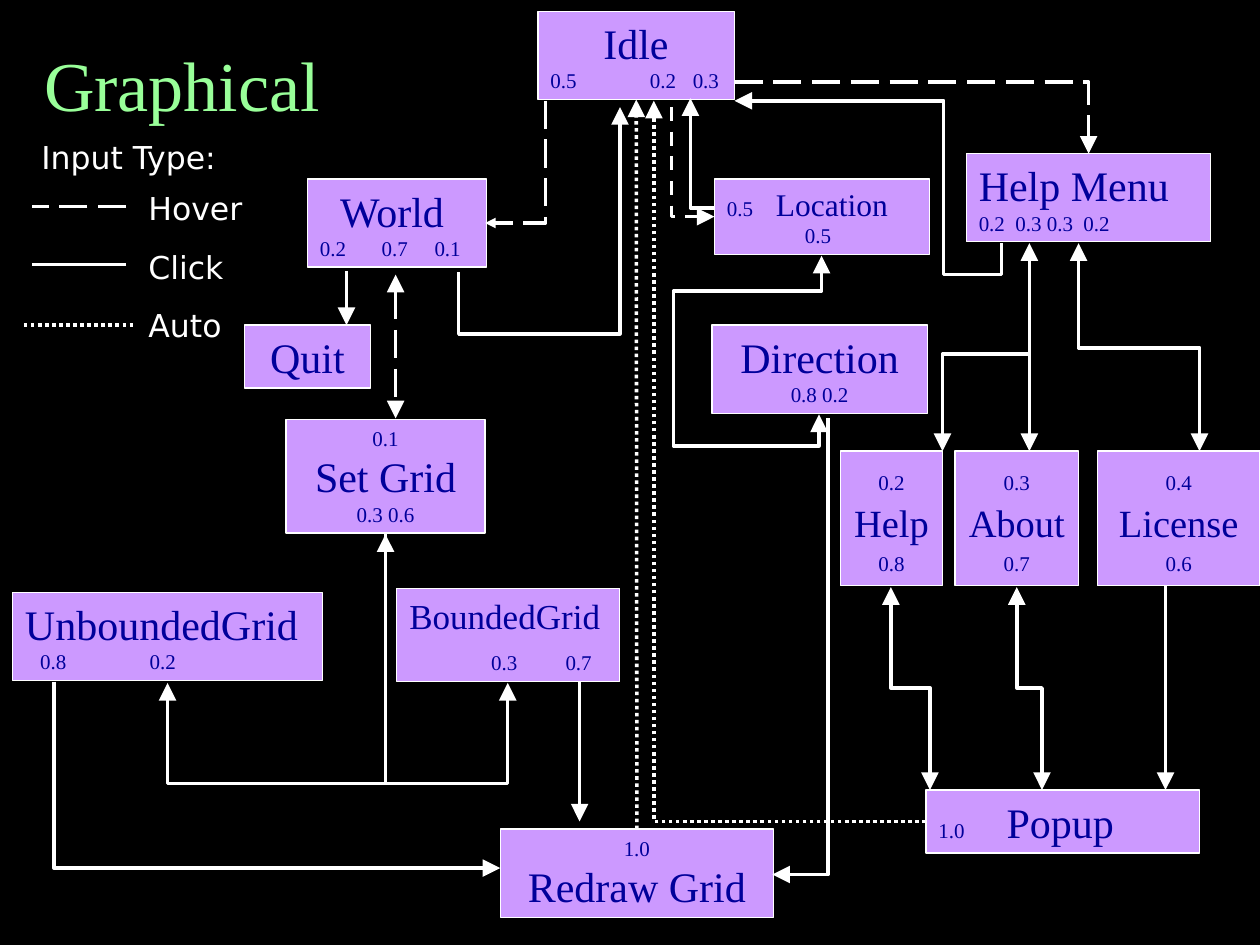
from pptx import Presentation
from pptx.dml.color import RGBColor
from pptx.enum.dml import MSO_LINE as DASH
from pptx.enum.shapes import MSO_CONNECTOR as CONN, MSO_SHAPE as SHAPE
from pptx.enum.text import MSO_ANCHOR as ANCHOR, MSO_AUTO_SIZE as FIT, PP_ALIGN as ALIGN
from pptx.oxml.ns import qn
from pptx.util import Inches, Pt
from lxml.etree import SubElement

COLORS = {"back": "000000", "box": "CC99FF", "line": "FFFFFF",
          "label": "00009A", "title": "99FF99"}
SERIF, SANS = "Times New Roman", "DejaVu Sans"


def color(name):
    return RGBColor.from_string(COLORS[name])


class StateDiagram:
    """Style and current slide of a state diagram."""

    def __init__(self, prs):
        self.slide = prs.slides.add_slide(prs.slide_layouts[5])
        fill = self.slide.background.fill
        fill.solid()
        fill.fore_color.rgb = color("back")

    def style(self, r, size, font, ink):
        r.font.size, r.font.name = Pt(size), font
        r.font.color.rgb = color(ink)

    def frame(self, sp, anchor=ANCHOR.TOP):
        tf = sp.text_frame
        tf.word_wrap, tf.auto_size, tf.vertical_anchor = True, FIT.NONE, anchor
        return tf

    def title(self, text, x, y, w, h):
        sp = self.slide.shapes.title
        sp.left, sp.top, sp.width, sp.height = map(Inches, (x, y, w, h))
        tf = self.frame(sp, ANCHOR.BOTTOM)
        tf.text = text
        p = tf.paragraphs[0]
        p.alignment = ALIGN.LEFT
        self.style(p.runs[0], 40, SERIF, "title")

    def text(self, lines, x, y, w, h):
        tf = self.frame(self.slide.shapes.add_textbox(*map(Inches, (x, y, w, h))))
        tf.text = "\n".join(lines)
        for i, p in enumerate(tf.paragraphs):
            if i:
                p.space_before = Pt(12)
            self.style(p.runs[0], 18, SANS, "line")

    def box(self, x, y, w, h, rows, align=ALIGN.LEFT, gap=0, top=0.05, side=0.1, lead=""):
        """Each row is (text, size, *tab stops); lead is small text before the first row."""
        sp = self.slide.shapes.add_shape(SHAPE.RECTANGLE, *map(Inches, (x, y, w, h)))
        sp.shadow.inherit = False
        sp.fill.solid()
        sp.fill.fore_color.rgb = color("box")
        sp.line.color.rgb = color("line")
        sp.line.width = Pt(0.75)
        tf = self.frame(sp)
        tf.margin_top, tf.margin_left, tf.margin_right = map(Inches, (top, side, side))
        tf.text = "\n".join(row[0] for row in rows)
        for i, (p, (_, size, *stops)) in enumerate(zip(tf.paragraphs, rows)):
            p.alignment = align
            if i and gap:
                p.space_before = Pt(gap)
            if stops:
                tabs = SubElement(p._p.get_or_add_pPr(), qn("a:tabLst"))
                for stop in stops:
                    SubElement(tabs, qn("a:tab"), pos=str(Inches(stop)), algn="l")
            self.style(p.runs[0], size, SERIF, "label")
        if lead:
            p = tf.paragraphs[0]
            name, r = p.runs[0], p.add_run()
            r.text = lead
            self.style(r, 12, SERIF, "label")
            name._r.addprevious(r._r)
        return sp

    def route(self, *points, dash=None, arrows="end", head="lg"):
        """Connector through right-angled points; arrows is end, both or empty."""
        (x0, y0), (x1, y1) = points[0], points[-1]
        bends = len(points) - 1
        kind = CONN.STRAIGHT if bends == 1 else CONN.ELBOW
        s = self.slide.shapes.add_connector(kind, *map(Inches, (x0, y0, x1, y1)))
        if bends > 1:
            self.bend(s, points, bends)
        s.line.color.rgb = color("line")
        s.line.width = Pt(2)
        if dash:
            s.line.dash_style = dash
        ln = s.line._get_or_add_ln()
        ends = {"both": ("headEnd", "tailEnd"), "end": ("tailEnd",)}.get(arrows, ())
        for end in ends:
            SubElement(ln, qn(f"a:{end}"), type="triangle", w=head, len=head)
        SubElement(s._element.spPr, qn("a:effectLst"))
        return s

    def bend(self, s, points, bends):
        (x0, y0), (x1, y1) = points[0], points[-1]
        dx, dy = x1 - x0, y1 - y0
        upright = points[1][0] == x0
        if upright:
            # The preset starts sideways, so turn its frame about the centre
            w, h = abs(dy), abs(dx)
            s.left, s.top = Inches((x0 + x1 - w) / 2), Inches((y0 + y1 - h) / 2)
            s.width, s.height = Inches(w), Inches(h)
            down_right = dx > 0 and dy > 0
            s.rotation = 270 if down_right else 90
            xfrm = s._element.spPr.xfrm
            xfrm.flipH = down_right or dy < 0
            xfrm.flipV = dx > 0 and not down_right
        geom = s._element.spPr.find(qn("a:prstGeom"))
        geom.set("prst", f"bentConnector{bends}")
        guides = geom.find(qn("a:avLst"))
        for i, (x, y) in enumerate(points[1:-1][:bends - 2]):
            along_y = upright == (i % 2 == 0)
            share = (y - y0) / dy if along_y else (x - x0) / dx
            SubElement(guides, qn("a:gd"), name=f"adj{i + 1}",
                       fmla=f"val {round(share * 100000)}")


def main():
    prs = Presentation()
    prs.slide_width, prs.slide_height = Inches(10), Inches(7.5)
    d = StateDiagram(prs)
    mid = ALIGN.CENTER

    # Title and legend
    d.title("Graphical", 0.25, 0.3, 2.5, 0.75)
    d.text(["Input Type:"], 0.23, 1.05, 1.71, 0.4)
    d.text(["Hover", "Click", "Auto"], 1.08, 1.45, 1.71, 1.32)
    d.route((1, 1.64), (0.25, 1.64), dash=DASH.LONG_DASH, arrows="")
    d.route((1, 2.1), (0.25, 2.1), arrows="")
    d.route((0.19, 2.58), (1.08, 2.58), dash=DASH.ROUND_DOT, arrows="")

    # States with their transition probabilities
    idle = d.box(4.27, 0.09, 1.56, 0.7, [("\tIdle", 24, 0.42),
                                         ("0.5\t0.2\t0.3", 12, 0.79, 1.13)])
    d.box(2.44, 1.42, 1.42, 0.7, [("\tWorld", 24, 0.16),
                                  ("0.2\t0.7\t0.1", 12, 0.49, 0.91)])
    d.box(5.67, 1.42, 1.71, 0.6, [("\tLocation", 18, 0.39), ("\t0.5", 12, 0.62)],
          lead="0.5")
    d.box(7.67, 1.22, 1.94, 0.7, [("Help Menu", 24),
                                  ("0.2\t0.3\t0.3\t0.2", 12, 0.29, 0.54, 0.83)])
    d.box(1.94, 2.58, 1, 0.5, [("Quit", 24)], mid)
    d.box(2.27, 3.33, 1.58, 0.9, [("0.1", 12), ("Set Grid", 24), ("0.3 0.6", 12)], mid)
    d.box(5.65, 2.58, 1.71, 0.7, [("Direction", 24), ("0.8 0.2", 12)], mid)
    d.box(0.1, 4.7, 2.46, 0.7, [("UnboundedGrid", 24), ("\t0.8\t0.2", 12, 0.12, 0.99)])
    d.box(3.15, 4.67, 1.77, 0.74, [("BoundedGrid", 20),
                                   ("\t0.3\t0.7", 12, 0.65, 1.24)], gap=7.5)
    redraw = d.box(3.97, 6.58, 2.17, 0.7, [("1.0", 12), ("Redraw Grid", 24)], mid)
    d.box(7.35, 6.27, 2.17, 0.5, [("\tPopup", 24, 0.54)], lead="1.0")
    for x, w, top, name, bottom in [(6.67, 0.81, "0.2", "Help", "0.8"),
                                    (7.58, 0.98, "0.3", "About", "0.7"),
                                    (8.71, 1.29, "0.4", "License", "0.6")]:
        d.box(x, 3.58, w, 1.07, [(top, 12), (name, 22), (bottom, 12)], mid,
              gap=2.5, top=0.15, side=0.05)

    # Hover transitions
    d.route((4.33, 0.8), (4.33, 1.77), (3.85, 1.77), dash=DASH.LONG_DASH, head="med")
    d.route((3.14, 2.18), (3.14, 3.32), dash=DASH.LONG_DASH, arrows="both")
    d.route((5.33, 0.85), (5.33, 1.72), (5.67, 1.72), dash=DASH.DASH)
    d.route((5.83, 0.65), (8.64, 0.65), (8.64, 1.22), dash=DASH.LONG_DASH)

    # Automatic transitions
    auto = d.route((5.05, 6.58), (5.05, 0.8), dash=DASH.ROUND_DOT)
    auto.begin_connect(redraw, 0)
    auto.end_connect(idle, 2)
    d.route((7.35, 6.52), (5.19, 6.52), (5.19, 0.8), dash=DASH.ROUND_DOT)

    # Click transitions
    for points in [
        [(3.06, 4.24), (3.06, 6.22), (1.33, 6.22), (1.33, 5.42)],
        [(4.6, 5.41), (4.6, 6.52)],
        [(0.43, 5.41), (0.43, 6.89), (3.97, 6.89)],
        [(6.57, 3.32), (6.57, 6.94), (6.13, 6.94)],
        [(7.95, 1.93), (7.95, 2.18), (7.49, 2.18), (7.49, 0.8), (5.83, 0.8)],
        [(8.17, 2.03), (8.17, 2.81), (7.48, 2.81), (7.48, 3.58)],
        [(9.25, 4.65), (9.25, 6.27)],
        [(2.75, 2.15), (2.75, 2.58)],
        [(3.64, 2.16), (3.64, 2.65), (4.92, 2.65), (4.92, 0.85)],
        [(5.67, 1.65), (5.48, 1.65), (5.48, 0.78)],
    ]:
        d.route(*points)
    for points in [
        [(3.06, 4.24), (3.06, 6.22), (4.03, 6.22), (4.03, 5.42)],
        [(6.52, 2.03), (6.52, 2.31), (5.35, 2.31), (5.35, 3.54), (6.5, 3.54), (6.5, 3.29)],
        [(8.56, 1.93), (8.56, 2.76), (9.52, 2.76), (9.52, 3.58)],
        [(8.17, 1.93), (8.17, 3.58)],
        [(8.07, 4.66), (8.07, 5.46), (8.27, 5.46), (8.27, 6.27)],
        [(7.07, 4.66), (7.07, 5.46), (7.38, 5.46), (7.38, 6.27)],
    ]:
        d.route(*points, arrows="both")
    prs.save("out.pptx")


if __name__ == "__main__":
    main()
